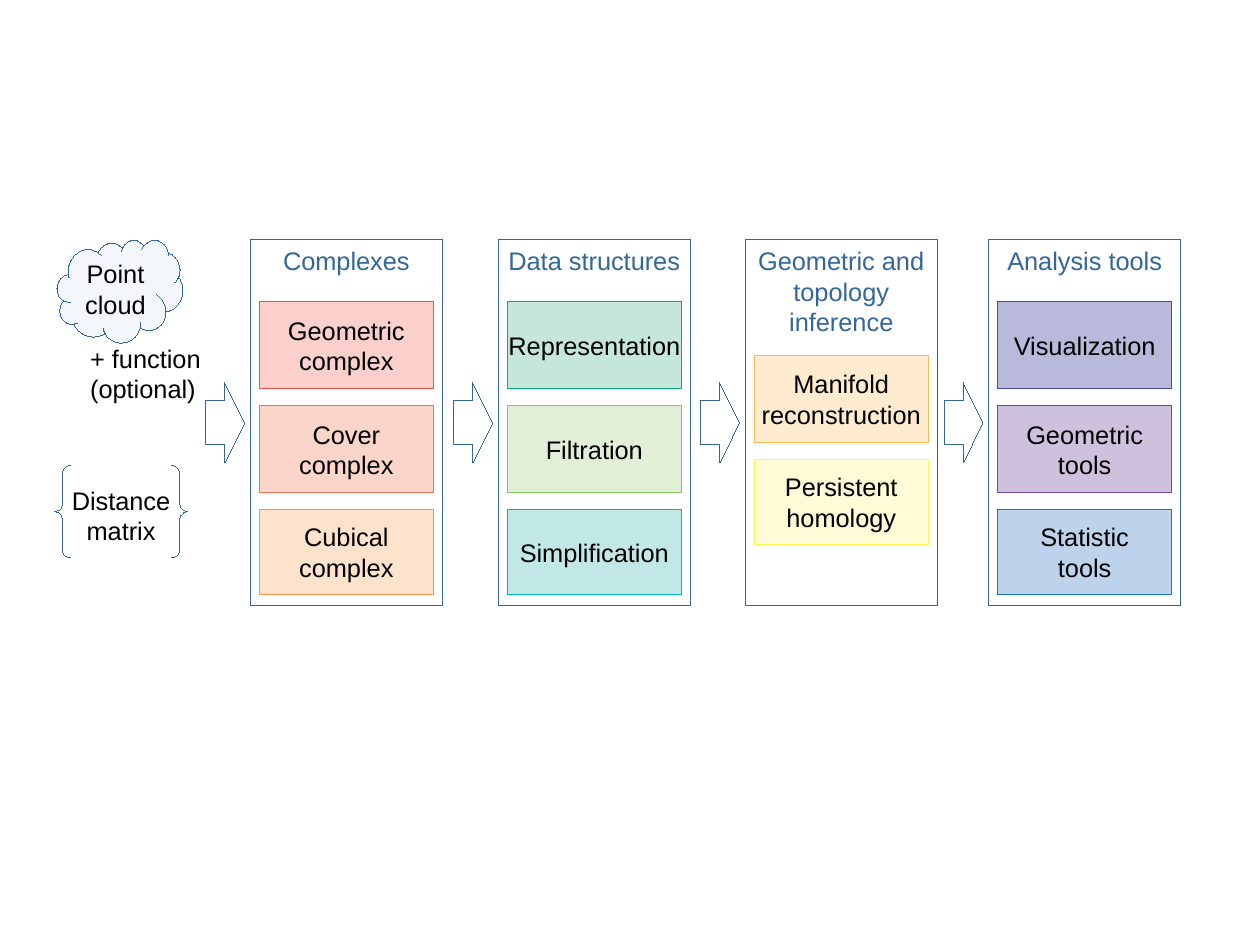
from lxml.etree import SubElement
from pptx import Presentation
from pptx.dml.color import RGBColor
from pptx.enum.shapes import MSO_SHAPE
from pptx.enum.text import MSO_ANCHOR, MSO_AUTO_SIZE, PP_ALIGN
from pptx.oxml.ns import qn
from pptx.util import Inches, Pt

BLUE = "336699"


def color(value):
    return RGBColor.from_string(value)


def add_box(kind, x, y, w, h, line, text="", fill=None, opacity=50,
            font_color="000000", anchor=MSO_ANCHOR.MIDDLE):
    sp = s.shapes.add_shape(kind, Inches(x), Inches(y), Inches(w), Inches(h))
    sp.shadow.inherit = False
    sp.line.color.rgb = color(line)
    # Hairline: a zero width has to be written out
    sp.element.spPr.find(qn("a:ln")).set("w", "0")
    if fill:
        sp.fill.solid()
        sp.fill.fore_color.rgb = color(fill)
        rgb = sp.element.spPr.find(qn("a:solidFill")).find(qn("a:srgbClr"))
        SubElement(rgb, qn("a:alpha"), val=str(opacity * 1000))
    else:
        sp.fill.background()
    tf = sp.text_frame
    tf.word_wrap = False
    tf.vertical_anchor = anchor
    if text:
        tf.text = text
        for p in tf.paragraphs:
            p.alignment = PP_ALIGN.CENTER
            for r in p.runs:
                r.font.name = "Arial"
                r.font.size = Pt(16)
                r.font.color.rgb = color(font_color)
    return sp


# Slide of 28 by 21 cm
prs = Presentation()
prs.slide_width = Inches(28 / 2.54)
prs.slide_height = Inches(21 / 2.54)
s = prs.slides.add_slide(prs.slide_layouts[6])

# Inputs: point cloud, optional function, distance matrix
add_box(MSO_SHAPE.CLOUD, 0.5, 2.1, 1.1, 0.9, "3465A4",
        "Point\ncloud", "729FCF", 8)

braces = add_box(MSO_SHAPE.DOUBLE_BRACE, 0.48, 4.07, 1.16, 0.81, BLUE,
                 "Distance\nmatrix")
braces.adjustments[0] = 0.083

tb = s.shapes.add_textbox(Inches(0.69), Inches(2.95), Inches(1.55), Inches(0.59))
tf = tb.text_frame
tf.word_wrap = True
tf.auto_size = MSO_AUTO_SIZE.SHAPE_TO_FIT_TEXT
tf.text = "+ function (optional)"
r = tf.paragraphs[0].runs[0]
r.font.name = "Arial"
r.font.size = Pt(16)
r.font.color.rgb = color("000000")

# Stages: left, title, top of first block, blocks (text, fill, line)
stages = [
    (2.19, "Complexes", 2.64, [
        ("Geometric\ncomplex", "F7A19A", "F04E4D"),
        ("Cover\ncomplex", "F8AA97", "F3715A"),
        ("Cubical\ncomplex", "FCC79B", "F79448")]),
    (4.36, "Data structures", 2.64, [
        ("Representation", "8CCFB7", "00B274"),
        ("Filtration", "C2E0AE", "89C765"),
        ("Simplification", "87D1D1", "00B6BD")]),
    (6.52, "Geometric and\ntopology\ninference", 3.11, [
        ("Manifold\nreconstruction", "FFDAA2", "FDB94D"),
        ("Persistent\nhomology", "FFF9AE", "FFF450")]),
    (8.65, "Analysis tools", 2.64, [
        ("Visualization", "7477B8", "454FA1"),
        ("Geometric\ntools", "9D85BE", "74489D"),
        ("Statistic\ntools", "7DA7D8", "1B75BC")]),
]

for x, title, top, blocks in stages:
    # Arrow into the stage, then its frame
    arrow = add_box(MSO_SHAPE.RIGHT_ARROW, x - 0.39, 3.35, 0.34, 0.7, BLUE)
    arrow.adjustments[0] = 0.547
    arrow.adjustments[1] = 0.507
    add_box(MSO_SHAPE.RECTANGLE, x, 2.1, 1.68, 3.2, BLUE, title,
            font_color=BLUE, anchor=MSO_ANCHOR.TOP)
    # Blocks at an equal pitch, the last one slightly lower in height
    for i, (text, fill, line) in enumerate(blocks):
        height = 0.74 if i == len(blocks) - 1 else 0.76
        add_box(MSO_SHAPE.RECTANGLE, x + 0.08, top + 0.91 * i, 1.52, height,
                line, text, fill)

prs.save("out.pptx")
